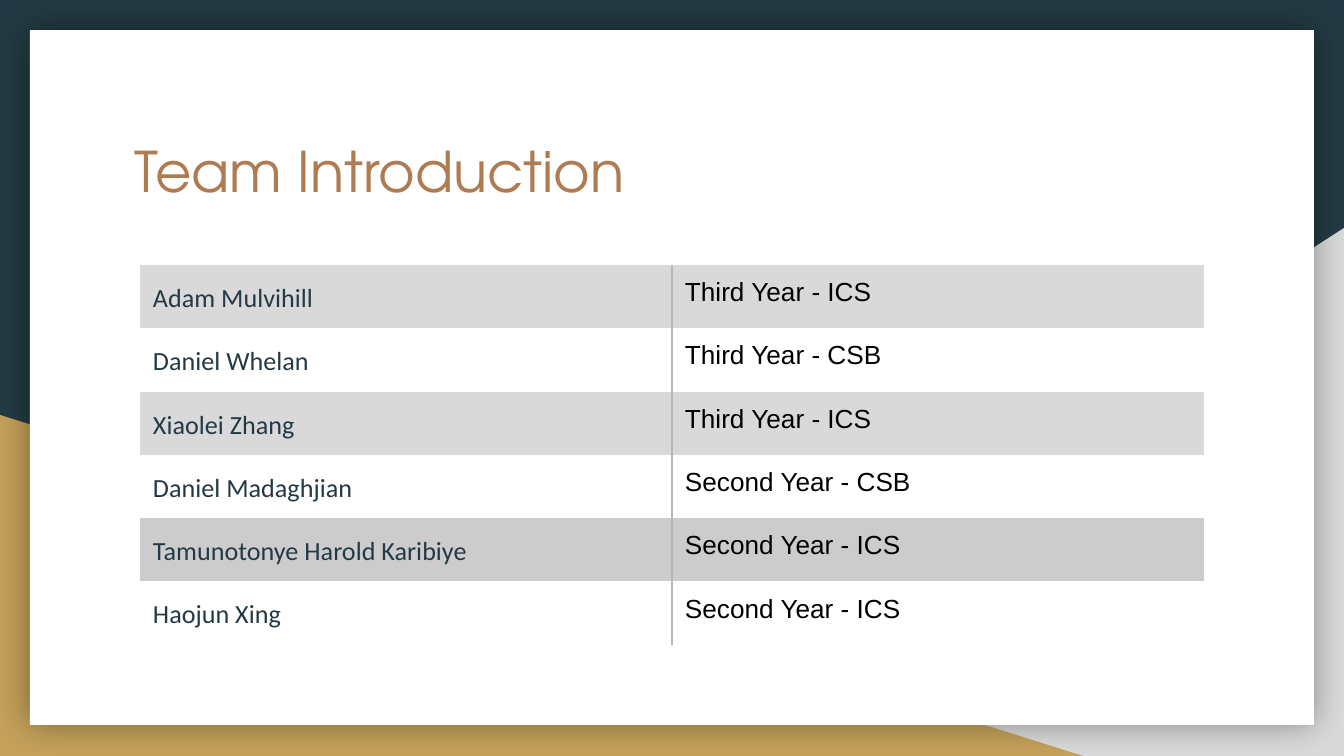
from pptx import Presentation
from pptx.dml.color import RGBColor
from pptx.enum.shapes import MSO_SHAPE
from pptx.enum.text import MSO_ANCHOR, PP_ALIGN
from pptx.oxml import parse_xml
from pptx.oxml.ns import nsdecls
from pptx.util import Pt

RECT = MSO_SHAPE.RECTANGLE
WEDGE = MSO_SHAPE.RIGHT_TRIANGLE
TOP = MSO_ANCHOR.TOP
LEFT = PP_ALIGN.LEFT

SCALE = 914400 / 134.4
PAD = 13
PLAIN = "{2D5ABB26-0587-4C30-8999-92F81FD0307C}"
HUES = {
    "navy": "233A44",
    "gold": "C4A15A",
    "grey": "D9D9D9",
    "dark": "CCCCCC",
    "rule": "B7B7B7",
    "white": "FFFFFF",
    "black": "000000",
    "brown": "AF7B51",
}
TEAM = [
    ("Adam Mulvihill", "Third Year - ICS", "grey"),
    ("Daniel Whelan", "Third Year - CSB", None),
    ("Xiaolei Zhang", "Third Year - ICS", "grey"),
    ("Daniel Madaghjian", "Second Year - CSB", None),
    ("Tamunotonye Harold Karibiye", "Second Year - ICS", "dark"),
    ("Haojun Xing", "Second Year - ICS", None),
]


def px(n):
    return round(n * SCALE)


def hue(name):
    return RGBColor.from_string(HUES[name])


def write(frame, text, size=14, font="Arial", color="black", lead=1.0):
    para = frame.paragraphs[0]
    para.alignment = LEFT
    para.line_spacing = lead
    run = para.add_run()
    run.text = text
    run.font.size = Pt(size)
    run.font.name = font
    run.font.color.rgb = hue(color)


def inset(item):
    item.margin_left = item.margin_right = px(PAD)
    item.margin_top = item.margin_bottom = px(PAD)
    item.vertical_anchor = TOP


def block(slide, kind, box, color):
    shape = slide.shapes.add_shape(kind, *map(px, box))
    shape.shadow.inherit = False
    shape.fill.solid()
    shape.fill.fore_color.rgb = hue(color)
    shape.line.fill.background()
    return shape


def glow(shape):
    blur = Pt(18)
    effects = shape._element.spPr.find("{*}effectLst")
    effects.append(parse_xml(
        f'<a:outerShdw {nsdecls("a")} blurRad="{blur}" dist="0" dir="0" '
        f'algn="ctr" rotWithShape="0"><a:srgbClr val="{HUES["black"]}">'
        '<a:alpha val="40000"/></a:srgbClr></a:outerShdw>'))


def draw_back(slide, box):
    x, y, w, h = box
    slide.background.fill.solid()
    slide.background.fill.fore_color.rgb = hue("navy")
    right = block(slide, WEDGE, (x + 527, y + 228, w - 527, h - 228), "grey")
    right._element.spPr.xfrm.set("flipH", "1")
    block(slide, WEDGE, (x, y + 415, 1083, h - 415), "gold")
    glow(block(slide, RECT, (x + 30, y + 30, w - 60, h - 61), "white"))


def draw_title(slide, box, text):
    title = slide.shapes.title
    title.left, title.top, title.width, title.height = map(px, box)
    frame = title.text_frame
    frame.word_wrap = True
    inset(frame)
    frame.vertical_anchor = TOP
    write(frame, text, size=30, font="TeX Gyre Adventor", color="brown")
    slide.shapes._spTree.append(title._element)


def edge(cell, side):
    cell._tc.get_or_add_tcPr().insert(0, parse_xml(
        f'<a:{side} {nsdecls("a")} w="{Pt(0.75)}"><a:solidFill>'
        f'<a:srgbClr val="{HUES["rule"]}"/></a:solidFill></a:{side}>'))


def draw_team(slide, box, team):
    x, y, w, h = box
    table = slide.shapes.add_table(len(team), 2, *map(px, box)).table
    table.first_row = table.horz_banding = False
    table._tbl.tblPr.find("{*}tableStyleId").text = PLAIN
    for col in table.columns:
        col.width = px(w / 2)
    for row, (name, year, band) in zip(table.rows, team):
        row.height = px(h / len(team))
        left, right = row.cells
        for cell in (left, right):
            inset(cell)
            if band:
                cell.fill.solid()
                cell.fill.fore_color.rgb = hue(band)
            else:
                cell.fill.background()
        write(left.text_frame, name, font="Calibri", color="navy", lead=1.15)
        write(right.text_frame, year)
        edge(left, "lnR")
        edge(right, "lnL")


def main():
    deck = Presentation()
    deck.slide_width, deck.slide_height = px(1344), px(756)
    slide = deck.slides.add_slide(deck.slide_layouts[5])
    draw_back(slide, (0, 0, 1344, 756))
    draw_title(slide, (121, 124, 1103, 140), "Team Introduction")
    draw_team(slide, (140, 265, 1064, 380), TEAM)
    deck.save("out.pptx")


if __name__ == "__main__":
    main()
